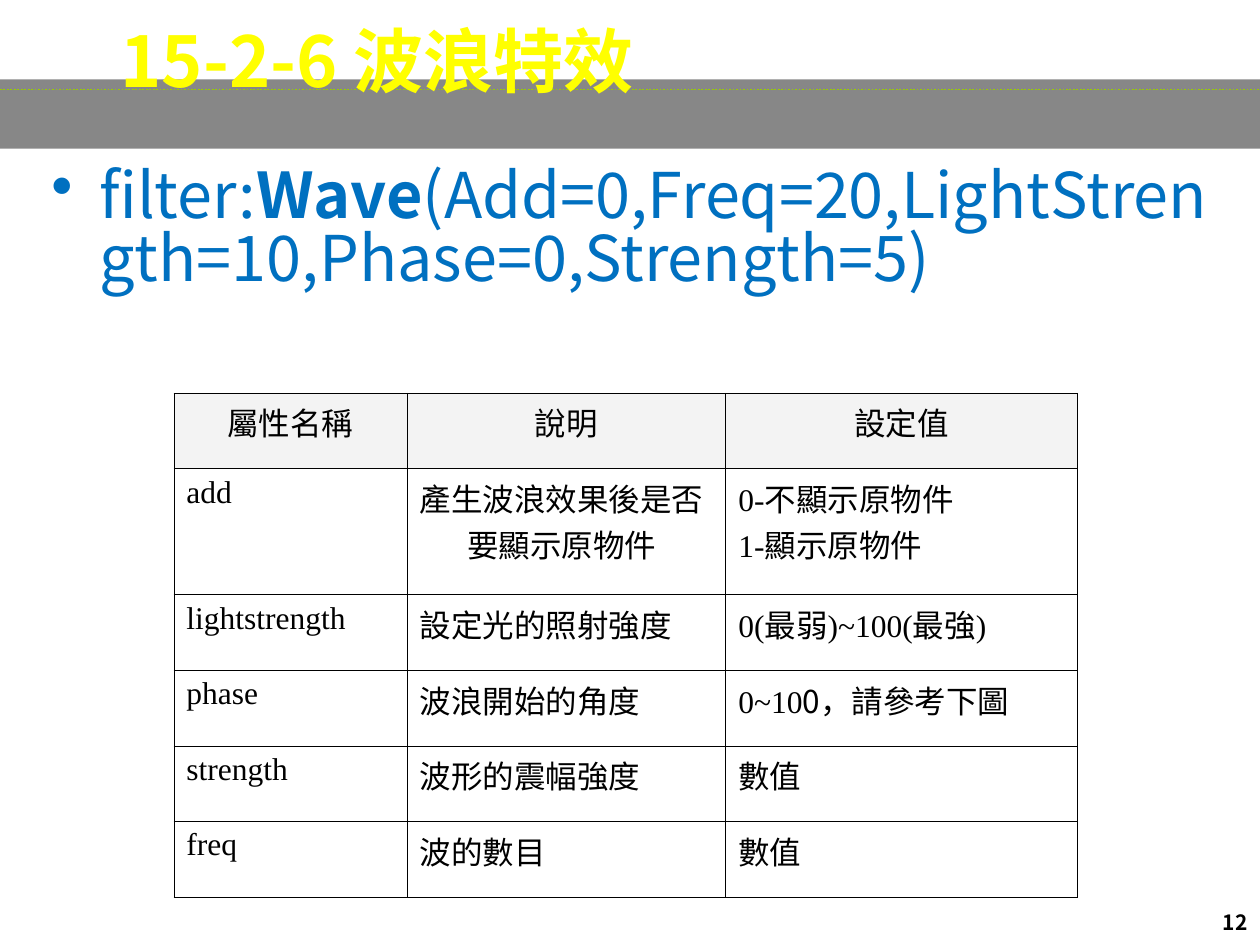
from pptx import Presentation
from pptx.dml.color import RGBColor
from pptx.enum.dml import MSO_LINE
from pptx.enum.shapes import MSO_CONNECTOR, MSO_SHAPE
from pptx.enum.text import PP_ALIGN
from pptx.oxml.ns import qn
from pptx.util import Inches, Pt
from lxml.etree import SubElement

# Content: a paragraph is a list of (text, format) runs
TITLE = [[("15-2-6 波浪特效", {})]]
SYNTAX = [[
    ("filter:", {}),
    ("Wave", {"bold": True}),
    ("(Add=0,Freq=20,LightStrength=10,Phase=0,Strength=5)", {}),
]]
NUMBER = [[("12", {})]]
ROWS = [
    ["屬性名稱", "說明", "設定值"],
    ["add", "產生波浪效果後是否要顯示原物件", "0-不顯示原物件\n1-顯示原物件"],
    ["lightstrength", "設定光的照射強度", "0(最弱)~100(最強)"],
    ["phase", "波浪開始的角度",
     [[("0~10", {}), ("0，", {"font": "Noto Sans CJK TC"}), ("請參考下圖", {})]]],
    ["strength", "波形的震幅強度", "數值"],
    ["freq", "波的數目", "數值"],
]
WIDTHS = [1.85, 2.53, 2.79]
HEIGHTS = [0.6, 1, 0.6, 0.6, 0.6, 0.6]

THEME = {
    "sans": "Noto Sans CJK SC", "serif": "Times New Roman",
    "title": 40, "body": 36, "cell": 18, "number": 12,
    "yellow": "FFFF00", "blue": "0070C0", "black": "000000",
    "band": "111111", "rule": "99CC00", "head": "F3F3F3",
}
HANG = Inches(0.38)


def color(name):
    return RGBColor.from_string(THEME[name])


def write(frame, paras, size, ink, font=THEME["sans"], bold=False,
          align=PP_ALIGN.LEFT, hang=False, bullet=None, spacing=None):
    """Fill a text frame with paragraphs of formatted runs."""
    frame.word_wrap = True
    if isinstance(paras, str):
        paras = [[(line, {})] for line in paras.split("\n")]
    for i, runs in enumerate(paras):
        para = frame.paragraphs[0] if i == 0 else frame.add_paragraph()
        props = para._p.get_or_add_pPr()
        if hang:
            props.set("marL", str(HANG))
            props.set("indent", str(-HANG))
        if bullet:
            tint = SubElement(props, qn("a:buClr"))
            SubElement(tint, qn("a:srgbClr")).set("val", THEME[ink])
            SubElement(props, qn("a:buChar")).set("char", bullet)
        para.alignment = align
        if spacing:
            para.line_spacing = spacing
        for text, extra in runs:
            run = para.add_run()
            run.text = text
            run.font.size = Pt(THEME[size])
            run.font.bold = extra.get("bold", bold)
            run.font.color.rgb = color(ink)
            face = extra.get("font", font)
            run.font.name = face
            east = SubElement(run._r.get_or_add_rPr(), qn("a:ea"))
            east.set("typeface", THEME["sans"] if face == THEME["serif"] else face)


def box(slide, area, paras, **fmt):
    shape = slide.shapes.add_textbox(*map(Inches, area))
    write(shape.text_frame, paras, **fmt)


def border(cell):
    props = cell._tc.get_or_add_tcPr()
    for i, side in enumerate(("lnL", "lnR", "lnT", "lnB")):
        line = props.makeelement(qn("a:" + side), {"w": str(Pt(0.45))})
        fill = SubElement(line, qn("a:solidFill"))
        SubElement(fill, qn("a:srgbClr")).set("val", THEME["black"])
        props.insert(i, line)


def banner(slide):
    band = slide.shapes.add_shape(
        MSO_SHAPE.RECTANGLE, 0, Inches(0.63), Inches(10), Inches(0.55))
    band.shadow.inherit = False
    band.line.fill.background()
    band.fill.solid()
    band.fill.fore_color.rgb = color("band")
    tint = band._element.spPr.find(".//" + qn("a:srgbClr"))
    SubElement(tint, qn("a:alpha")).set("val", "50000")

    rule = slide.shapes.add_connector(
        MSO_CONNECTOR.STRAIGHT, 0, Inches(0.71), Inches(10), Inches(0.71))
    rule.line.color.rgb = color("rule")
    rule.line.width = Pt(1)
    rule.line.dash_style = MSO_LINE.ROUND_DOT
    SubElement(rule._element.spPr, qn("a:effectLst"))


def grid(slide):
    area = (1.38, 3.12, sum(WIDTHS), sum(HEIGHTS))
    table = slide.shapes.add_table(
        len(ROWS), len(WIDTHS), *map(Inches, area)).table
    for col, width in zip(table.columns, WIDTHS):
        col.width = Inches(width)
    for r, (row, height) in enumerate(zip(ROWS, HEIGHTS)):
        table.rows[r].height = Inches(height)
        for c, text in enumerate(row):
            cell = table.cell(r, c)
            if r == 0:
                cell.fill.solid()
                cell.fill.fore_color.rgb = color("head")
            else:
                cell.fill.background()
            border(cell)
            write(cell.text_frame, text, size="cell", ink="black",
                  font=THEME["serif"], hang=True,
                  align=PP_ALIGN.LEFT if r else PP_ALIGN.CENTER)


def main():
    deck = Presentation()
    deck.slide_width, deck.slide_height = Inches(10), Inches(7.5)
    slide = deck.slides.add_slide(deck.slide_layouts[6])

    # Header band, page number, syntax line, title
    banner(slide)
    box(slide, (7.67, 7.17, 2.33, 0.52), NUMBER, size="number", ink="black",
        bold=True, align=PP_ALIGN.RIGHT)
    box(slide, (0.31, 1.29, 9.45, 5.9), SYNTAX, size="body", ink="blue",
        hang=True, bullet="•", spacing=0.83)
    box(slide, (0.86, 0.2, 8.98, 0.93), TITLE, size="title", ink="yellow",
        bold=True, spacing=0.83)

    # Property table
    grid(slide)
    deck.save("out.pptx")


if __name__ == "__main__":
    main()
